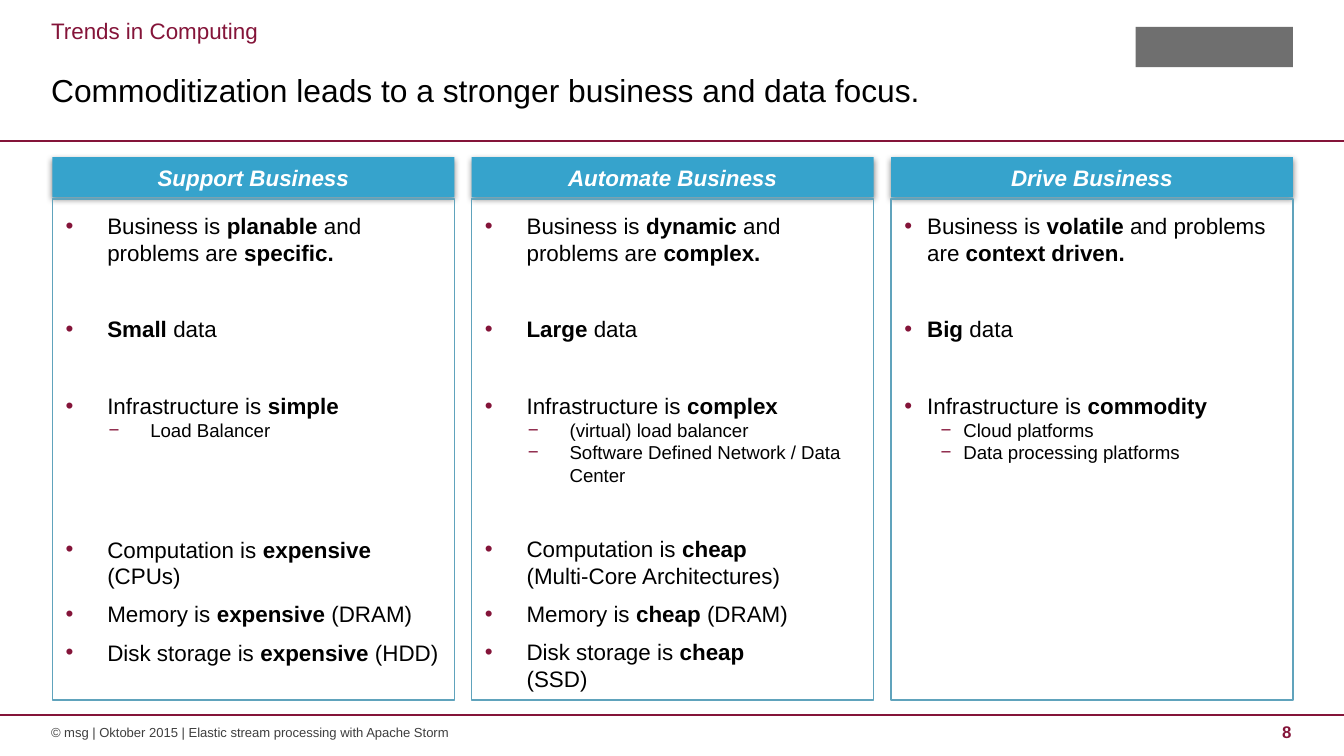
import pptx
import pptx.util
import pptx.dml.color
import pptx.enum.shapes
import pptx.enum.text
import pptx.oxml
import pptx.oxml.ns
import lxml.etree

Inches, Pt = pptx.util.Inches, pptx.util.Pt
SHAPE = pptx.enum.shapes.MSO_SHAPE
ALIGN = pptx.enum.text.PP_ALIGN
ANCHOR = pptx.enum.text.MSO_ANCHOR
qn = pptx.oxml.ns.qn

COLORS = {"accent": "841439", "header": "36A3CC", "border": "60A3BC",
          "text": "000000", "white": "FFFFFF", "footer": "3F3F3F", "logo": "6F6F6F"}

# Content: (level, space before in points, text); *...* marks bold
KICKER = "Trends in Computing"
TITLE = "Commoditization leads to a stronger business and data focus."
FOOTER = "© msg | Oktober 2015 | Elastic stream processing with Apache Storm"
PAGE = "8"
NEAR, FAR, FARTHEST = 6, 26.5, 50.6
COLUMNS = [
    {"head": "Support Business", "hang": 0.31, "sub_left": 0.63, "items": [
        (0, 0, "Business is *planable *and problems are *specific.*"),
        (0, FAR, "*Small *data"),
        (0, FAR, "Infrastructure is *simple*"),
        (1, 0, "Load Balancer"),
        (0, FARTHEST, "Computation is *expensive *(CPUs)"),
        (0, NEAR, "Memory is *expensive *(DRAM)"),
        (0, NEAR, "Disk storage is *expensive *(HDD)")]},
    {"head": "Automate Business", "hang": 0.31, "sub_left": 0.63, "items": [
        (0, 0, "Business is *dynamic *and problems are *complex.*"),
        (0, FAR, "*Large *data"),
        (0, FAR, "Infrastructure is *complex*"),
        (1, 0, "(virtual) load balancer"),
        (1, 0, "Software Defined Network / Data Center"),
        (0, FAR, "Computation is *cheap *\n(Multi-Core Architectures)"),
        (0, NEAR, "Memory is *cheap *(DRAM)"),
        (0, NEAR, "Disk storage is *cheap *\n(SSD)")]},
    {"head": "Drive Business", "hang": 0.17, "sub_left": 0.44, "items": [
        (0, 0, "Business is *volatile *and problems are *context driven.*"),
        (0, FAR, "*Big *data"),
        (0, FAR, "Infrastructure is *commodity*"),
        (1, 0, "Cloud platforms"),
        (1, 0, "Data processing platforms")]},
]
LEVELS = [{"bullet": "•", "size": 12}, {"bullet": "−", "size": 10}]

# Layout
LEFT, COL_W, PITCH = 0.39, 2.99, 3.12
HEAD_TOP, HEAD_H, BODY_TOP, BODY_H = 1.17, 0.3, 1.48, 3.73


def rgb(name):
    return pptx.dml.color.RGBColor.from_string(COLORS[name])


def set_font(font, size, color, **extra):
    for key, value in {"name": "Arial", "size": Pt(size), **extra}.items():
        setattr(font, key, value)
    font.color.rgb = rgb(color)


def set_frame(tf, anchor, side, edge):
    values = {"word_wrap": True, "auto_size": pptx.enum.text.MSO_AUTO_SIZE.NONE,
              "vertical_anchor": anchor,
              "margin_left": Inches(side), "margin_right": Inches(side),
              "margin_top": Inches(edge), "margin_bottom": Inches(edge)}
    for key, value in values.items():
        setattr(tf, key, value)


def place(sp, x, y, w, h):
    sp.left, sp.top, sp.width, sp.height = (Inches(v) for v in (x, y, w, h))


def write_line(sp, text, size, color, align=ALIGN.LEFT, margins=(0, 0), **extra):
    set_frame(sp.text_frame, ANCHOR.MIDDLE, *margins)
    p = sp.text_frame.paragraphs[0]
    p.alignment = align
    r = p.add_run()
    r.text = text
    set_font(r.font, size, color, **extra)
    return p


def add_box(s, x, y, w, h, fill=None, line=None):
    sp = s.shapes.add_shape(SHAPE.RECTANGLE, *(Inches(v) for v in (x, y, w, h)))
    sp.shadow.inherit = False
    if fill:
        sp.fill.solid()
        sp.fill.fore_color.rgb = rgb(fill)
    else:
        sp.fill.background()
    if line:
        sp.line.color.rgb = rgb(line)
        sp.line.width = Pt(0.75)
    else:
        sp.line.fill.background()
    return sp


def add_shadow(sp):
    effects = sp._element.spPr.find(qn("a:effectLst"))
    shadow = lxml.etree.SubElement(effects, qn("a:outerShdw"), blurRad=str(Pt(3.5)),
                                   dist=str(Pt(1.1)), dir="5400000", rotWithShape="0")
    color = lxml.etree.SubElement(shadow, qn("a:srgbClr"), val=COLORS["text"])
    lxml.etree.SubElement(color, qn("a:alpha"), val="45000")


def set_bullet(p, char, left, hang):
    ppr = p._p.get_or_add_pPr()
    ppr.set("marL", str(Inches(left)))
    ppr.set("indent", str(-Inches(hang)))
    if char:
        clr = lxml.etree.SubElement(ppr, qn("a:buClr"))
        lxml.etree.SubElement(clr, qn("a:srgbClr"), val=COLORS["accent"])
        lxml.etree.SubElement(ppr, qn("a:buFont"), typeface="Arial")
        lxml.etree.SubElement(ppr, qn("a:buChar"), char=char)
    else:
        lxml.etree.SubElement(ppr, qn("a:buNone"))


def fill_list(tf, column):
    set_frame(tf, ANCHOR.TOP, 0.1, 0.1)
    lefts = (column["hang"], column["sub_left"])
    for i, (level, before, text) in enumerate(column["items"]):
        p = tf.paragraphs[0] if i == 0 else tf.add_paragraph()
        style = LEVELS[level]
        for key, value in {"level": level, "alignment": ALIGN.LEFT,
                           "line_spacing": 1.0, "space_before": Pt(before)}.items():
            setattr(p, key, value)
        set_bullet(p, style["bullet"], lefts[level], column["hang"])
        for n, part in enumerate(text.split("*")):
            if part.startswith("\n"):
                p.add_line_break()
            if part:
                r = p.add_run()
                r.text = part.strip("\n")
                set_font(r.font, style["size"], "text", bold=n % 2 == 1)


def main():
    prs = pptx.Presentation()
    prs.slide_width = Inches(10)
    prs.slide_height = prs.slide_width * 9 // 16
    s = prs.slides.add_slide(prs.slide_layouts[1])

    # Rules below the heading and above the footer
    for y in (1.05, 5.32):
        rule = s.shapes.add_connector(pptx.enum.shapes.MSO_CONNECTOR.STRAIGHT,
                                      0, Inches(y), Inches(10), Inches(y))
        rule.line.color.rgb = rgb("accent")
        rule.line.width = Pt(0.75)
        lxml.etree.SubElement(rule._element.spPr, qn("a:effectLst"))

    # Plain block in the logo position
    add_box(s, 8.45, 0.2, 1.17, 0.3, fill="logo")

    # Heading
    kicker, title = s.placeholders[1], s.shapes.title
    place(kicker, 0.38, 0.11, 7.53, 0.23)
    p = write_line(kicker, KICKER, 12, "accent")
    set_bullet(p, None, 0, 0)
    p.space_before = Pt(0)
    place(title, 0.38, 0.34, 7.52, 0.69)
    write_line(title, TITLE, 17, "text").line_spacing = 0.9

    # Columns
    for i, column in enumerate(COLUMNS):
        x = LEFT + i * PITCH
        head = add_box(s, x, HEAD_TOP, COL_W, HEAD_H, fill="header")
        add_shadow(head)
        write_line(head, column["head"], 12, "white", ALIGN.CENTER, (0.09, 0.04),
                   bold=True, italic=True)
        body = add_box(s, x, BODY_TOP, COL_W, BODY_H, line="border")
        fill_list(body.text_frame, column)

    # Footer and page number
    for x, w, text, size, color, align, bold in (
            (0.38, 7.52, FOOTER, 7, "footer", ALIGN.LEFT, False),
            (9.14, 0.47, PAGE, 9, "accent", ALIGN.RIGHT, True)):
        box = s.shapes.add_textbox(Inches(x), Inches(5.39), Inches(w), Inches(0.11))
        write_line(box, text, size, color, align, bold=bold)

    prs.save("out.pptx")


if __name__ == "__main__":
    main()
